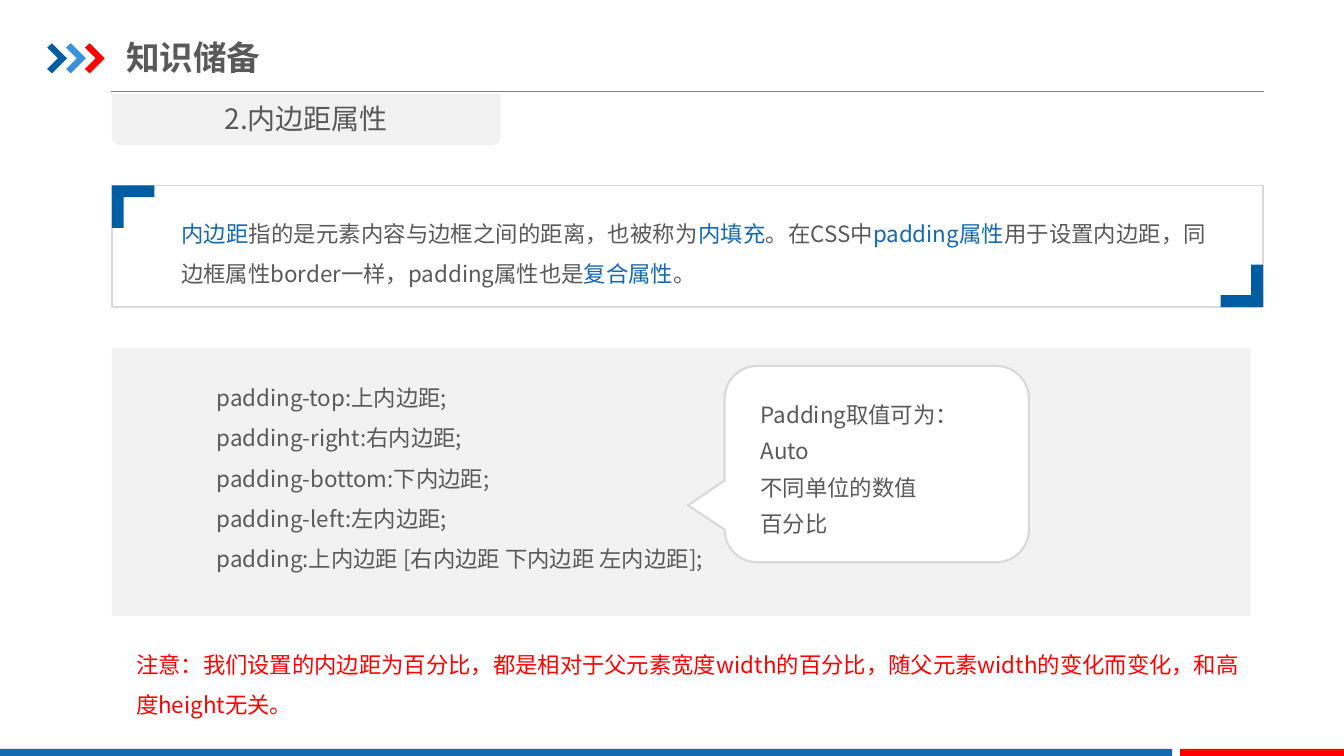
from lxml.etree import SubElement
from pptx import Presentation
from pptx.dml.color import RGBColor
from pptx.enum.shapes import MSO_CONNECTOR, MSO_SHAPE
from pptx.enum.text import MSO_ANCHOR, MSO_AUTO_SIZE, PP_ALIGN
from pptx.oxml.ns import qn
from pptx.util import Cm, Pt

FONT = "Noto Sans CJK SC"
GREY, PALE, BORDER, WHITE = "595959", "F2F2F2", "D9D9D9", "FFFFFF"
NAVY, BLUE, SKY, RED = "005DA2", "1369B2", "3992DB", "FF0000"


def paint(fill, color):
    """Make a fill solid in the hex colour."""
    fill.solid()
    fill.fore_color.rgb = RGBColor.from_string(color)


def style(shape, fill=None, line=None, width=1):
    """Set fill and outline, and drop the shadow."""
    shape.shadow.inherit = False
    if fill:
        paint(shape.fill, fill)
    else:
        shape.fill.background()
    if line:
        paint(shape.line.fill, line)
        shape.line.width = Pt(width)
    else:
        shape.line.fill.background()
    return shape


def add_block(page, kind, box, **look):
    """Add a styled preset shape in a box given in centimetres."""
    return style(page.shapes.add_shape(kind, *map(Cm, box)), **look)


def add_outline(page, points, fill):
    """Add a filled closed outline through points in centimetres."""
    first, *rest = [(Cm(x), Cm(y)) for x, y in points]
    builder = page.shapes.build_freeform(*first)
    builder.add_line_segments(rest, close=True)
    style(builder.convert_to_shape(), fill)


def write(frame, paragraphs, size=16, spacing=None, align=PP_ALIGN.LEFT, bold=False):
    """Write paragraphs, each a list of (text, colour) runs."""
    frame.word_wrap = True
    for index, runs in enumerate(paragraphs):
        para = frame.add_paragraph() if index else frame.paragraphs[0]
        para.alignment = align
        para.line_spacing = spacing
        for text, color in runs:
            span = para.add_run()
            span.text = text
            span.font.size = Pt(size)
            span.font.bold = bold
            span.font.name = FONT
            paint(span.font.fill, color)
            SubElement(span._r.get_or_add_rPr(), qn("a:ea"), typeface=FONT)


def add_text(page, box, paragraphs, inset=None, **look):
    """Add a text box in a box given in centimetres."""
    frame = page.shapes.add_textbox(*map(Cm, box)).text_frame
    if inset is not None:
        frame.margin_left = frame.margin_right = Cm(inset)
        frame.margin_top = frame.margin_bottom = Cm(inset)
    write(frame, paragraphs, **look)


def add_header(page, left, top):
    """Draw the chevrons, the title and the rule below them."""
    chevron = [(0, 0.11), (0.12, 0), (0.5, 0.38), (0.12, 0.76), (0, 0.65), (0.27, 0.38)]
    for index, color in enumerate((NAVY, SKY, RED)):
        start = left + 0.475 * index
        add_outline(page, [(start + x, top + y) for x, y in chevron], color)
    title = page.shapes.title
    title.left, title.top = Cm(left + 1.99), Cm(top - 0.35)
    title.width, title.height = Cm(10.82), Cm(1.4)
    frame = title.text_frame
    frame.auto_size = MSO_AUTO_SIZE.NONE
    frame.vertical_anchor = MSO_ANCHOR.MIDDLE
    frame.margin_left = frame.margin_right = 0
    write(frame, [[("知识储备", GREY)]], size=24, bold=True)
    rule_top = Cm(top + 1.22)
    rule = page.shapes.add_connector(
        MSO_CONNECTOR.STRAIGHT, Cm(left + 1.6), rule_top, Cm(left + 30.66), rule_top)
    paint(rule.line.fill, "808080")
    rule.line.width = Pt(0.75)
    SubElement(rule._element.spPr, qn("a:effectLst"))


def add_footer(page, top, width, height):
    """Draw the blue and red bars along the bottom edge."""
    red_width = 4.13
    add_block(page, MSO_SHAPE.RECTANGLE, (0, top, width - red_width - 0.2, height), fill=BLUE)
    add_block(page, MSO_SHAPE.RECTANGLE, (width - red_width, top, red_width, height), fill=RED)


def add_section_tab(page, box):
    """Draw the section heading on a tab rounded at the bottom."""
    tab = add_block(page, MSO_SHAPE.ROUND_2_SAME_RECTANGLE, box, fill=PALE)
    tab.adjustments[0], tab.adjustments[1] = 0, 0.17
    write(tab.text_frame, [[("2.内边距属性", GREY)]], size=20, align=PP_ALIGN.CENTER)


def add_definition(page, left, top, width, height):
    """Draw the framed definition with its two corner brackets."""
    add_block(page, MSO_SHAPE.RECTANGLE, (left, top, width, height), line=BORDER)
    add_text(page, (left + 1.75, top + 0.54, width - 3.18, 2.06), [[
        ("内边距", BLUE), ("指的是元素内容与边框之间的距离，也被称为", GREY),
        ("内填充", BLUE), ("。在CSS中", GREY), ("padding属性", BLUE),
        ("用于设置内边距，同边框属性border一样，padding属性也是", GREY),
        ("复合属性", BLUE), ("。", GREY),
    ]], inset=0, spacing=1.5, align=PP_ALIGN.JUSTIFY)
    bracket = [(0, 0), (1.07, 0), (1.07, 0.3), (0.3, 0.3), (0.3, 1.07), (0, 1.07)]
    for x, y, sign in ((left, top, 1), (left + width, top + height, -1)):
        add_outline(page, [(x + sign * dx, y + sign * dy) for dx, dy in bracket], NAVY)


def add_syntax(page, left, top, width, height):
    """Draw the syntax panel with its property list."""
    add_block(page, MSO_SHAPE.RECTANGLE, (left, top, width, height), fill=PALE)
    lines = ("padding-top:上内边距;", "padding-right:右内边距;", "padding-bottom:下内边距;",
             "padding-left:左内边距;", "padding:上内边距 [右内边距 下内边距 左内边距];")
    add_text(page, (left + 2.39, top + 0.46, 13.08, 6.4),
             [[(line, GREY)] for line in lines], spacing=1.5)


def add_values_callout(page, left, top, width, height):
    """Draw the callout that lists the allowed values."""
    callout = add_block(page, MSO_SHAPE.ROUNDED_RECTANGULAR_CALLOUT,
                        (left, top, width, height), fill=WHITE, line=BORDER, width=1.5)
    callout.adjustments[0], callout.adjustments[1] = -0.62, 0.21
    lines = ("Padding取值可为：Auto", "不同单位的数值", "百分比")
    add_text(page, (left + 0.66, top + 0.53, 6.65, 3.96),
             [[(line, GREY)] for line in lines], spacing=1.35)


def add_note(page, box):
    """Write the red note below the panel."""
    add_text(page, box, [[(
        "注意：我们设置的内边距为百分比，都是相对于父元素宽度width的百分比，"
        "随父元素width的变化而变化，和高度height无关。", RED)]], spacing=1.5)


def main():
    """Build the deck and save it."""
    deck = Presentation()
    deck.slide_width, deck.slide_height = Cm(33.87), Cm(19.05)
    page = deck.slides.add_slide(deck.slide_layouts[5])
    add_header(page, 1.19, 1.09)
    add_footer(page, 18.87, 33.87, 0.18)
    add_section_tab(page, (2.82, 2.36, 9.8, 1.3))
    add_definition(page, 2.82, 4.67, 29.01, 3.07)
    add_syntax(page, 2.82, 8.76, 28.7, 6.76)
    add_values_callout(page, 18.26, 9.22, 7.67, 4.95)
    add_note(page, (3.18, 15.95, 28.35, 2.31))
    deck.save("out.pptx")


if __name__ == "__main__":
    main()
